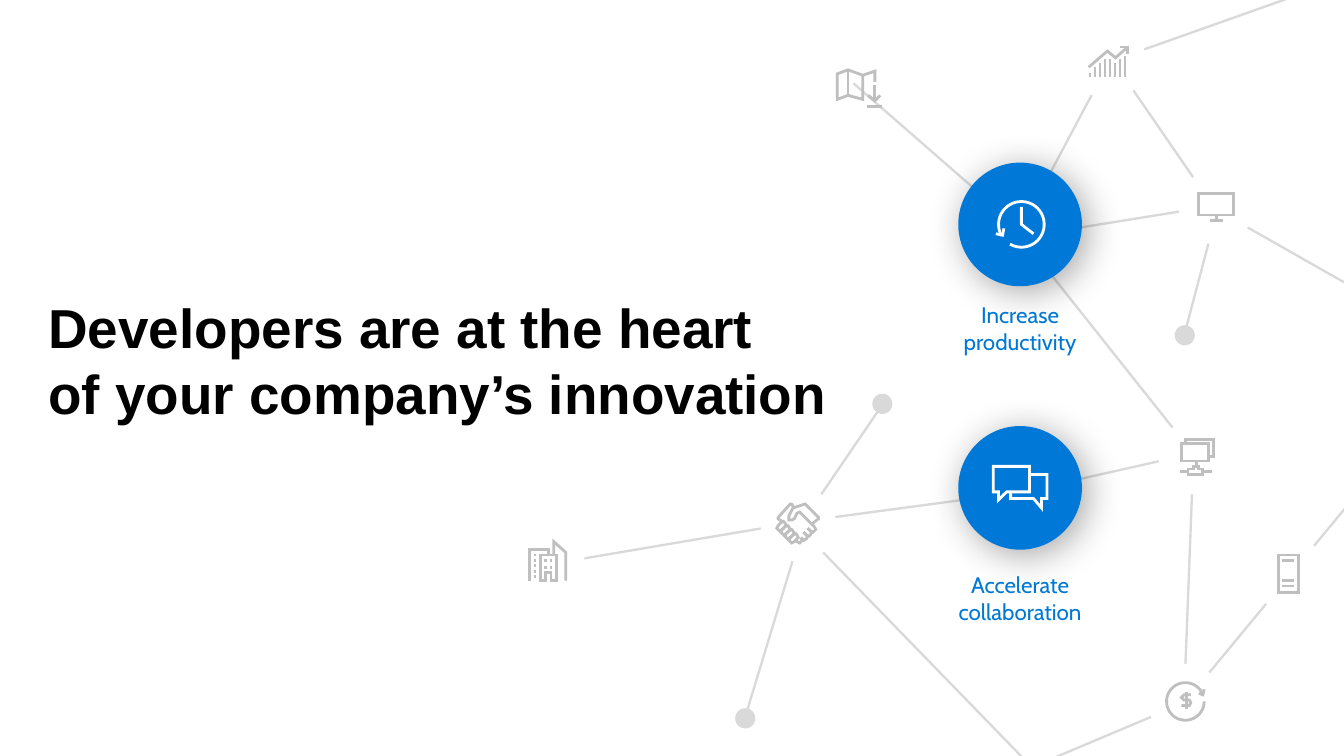
import math
import pptx
import pptx.util
import pptx.dml.color
import pptx.enum.shapes
import pptx.enum.text
import pptx.oxml
import pptx.oxml.ns

Inches = pptx.util.Inches
OVAL = pptx.enum.shapes.MSO_SHAPE.OVAL
STRAIGHT = pptx.enum.shapes.MSO_CONNECTOR.STRAIGHT
ALIGN = pptx.enum.text.PP_ALIGN
ANCHOR = pptx.enum.text.MSO_ANCHOR
NAMESPACE = pptx.oxml.ns.nsdecls("a")

theme = {
    "white": pptx.dml.color.RGBColor.from_string("FFFFFF"),
    "black": pptx.dml.color.RGBColor.from_string("000000"),
    "network": pptx.dml.color.RGBColor.from_string("D9D9D9"),
    "icon": pptx.dml.color.RGBColor.from_string("BFBFBF"),
    "disc": pptx.dml.color.RGBColor.from_string("0078D7"),
    "label": pptx.dml.color.RGBColor.from_string("0078D4"),
    "title_size": pptx.util.Pt(29.4),
    "label_size": pptx.util.Pt(12),
    "network_width": pptx.util.Pt(1.25),
    "icon_width": pptx.util.Pt(1.5),
}

# Widescreen page, 16 to 9
deck = pptx.Presentation()
deck.slide_width, deck.slide_height = Inches(10), Inches(10 * 9 / 16)
page = deck.slides.add_slide(deck.slide_layouts[5])


def arc(x, y, radius, start, end):
    """Points along an arc, in degrees clockwise from the right."""
    angles = [math.radians(start + (end - start) * step / 40) for step in range(41)]
    return [(x + radius * math.cos(a), y + radius * math.sin(a)) for a in angles]


def write(box, text, frame_format, paragraph_format, font_format, color):
    """Fill a box with formatted text."""
    frame = box.text_frame
    frame.text = text
    for name, value in frame_format.items():
        setattr(frame, name, value)
    for para in frame.paragraphs:
        for name, value in paragraph_format.items():
            setattr(para, name, value)
        for span in para.runs:
            for name, value in font_format.items():
                setattr(span.font, name, value)
            span.font.color.rgb = color


# Network lines
links = [
    (6.35, 0.62, 7.6, 1.71), (8.27, 0.43, 7.6, 1.69), (8.28, 0.45, 9.05, 1.57),
    (7.61, 3.66, 8.9, 3.37), (5.97, 3.88, 7.61, 3.66), (5.54, 5.35, 5.99, 3.87),
    (5.97, 3.88, 4.08, 4.2), (5.98, 3.87, 6.56, 3.02), (7.56, 1.77, 9.05, 1.53),
    (8.89, 3.39, 7.58, 1.74), (8.81, 2.5, 9.05, 1.59), (10, 2.1, 9.05, 1.56),
    (8.81, 5.22, 8.88, 3.39), (10.01, 3.78, 8.82, 5.22), (8.28, 0.45, 9.72, -0.06),
    (8.86, 5.21, 7.65, 5.72), (5.93, 3.91, 7.67, 5.7),
]
for ends in links:
    link = page.shapes.add_connector(STRAIGHT, *[Inches(value) for value in ends])
    link.line.color.rgb = theme["network"]
    link.line.width = theme["network_width"]
    link._element.spPr.append(pptx.oxml.parse_xml(f"<a:effectLst {NAMESPACE}/>"))

# Circles: clearings behind the icons, blue discs, end points
circles = [
    (0.56, "white", [(7.97, 0.18), (8.77, 1.26), (8.62, 3.12), (8.54, 4.94),
                     (5.66, 3.62), (3.79, 3.9), (9.31, 3.99)]),
    (0.92, "disc", [(7.13, 1.21), (7.13, 3.17)]),
    (0.15, "network", [(8.74, 2.42), (6.49, 2.93), (5.47, 5.27)]),
]
for size, color, places in circles:
    for left, top in places:
        circle = page.shapes.add_shape(
            OVAL, Inches(left), Inches(top), Inches(size), Inches(size))
        circle.shadow.inherit = False
        circle.fill.solid()
        circle.fill.fore_color.rgb = theme[color]
        circle.line.fill.background()
        if color == "disc":
            effects = circle._element.spPr.find(pptx.oxml.ns.qn("a:effectLst"))
            effects.append(pptx.oxml.parse_xml(
                f'<a:outerShdw {NAMESPACE} blurRad="254000" dist="50800" dir="2700000" '
                'algn="tl" rotWithShape="0"><a:srgbClr val="000000">'
                '<a:alpha val="35000"/></a:srgbClr></a:outerShdw>'))

# Icon strokes
map_icon = [
    [(6.31, 0.52), (6.31, 0.71)], [(6.51, 0.63), (6.51, 0.74)],
    [(6.46, 0.71), (6.51, 0.75), (6.55, 0.71)],
    [(6.51, 0.61), (6.51, 0.53), (6.42, 0.56), (6.31, 0.52), (6.23, 0.55),
     (6.23, 0.74), (6.31, 0.71), (6.42, 0.74), (6.42, 0.56)],
    [(6.45, 0.79), (6.56, 0.79)],
]
money = [
    arc(8.82, 5.22, 0.14, 0, 340),
    [(8.92, 5.16), (8.95, 5.17), (8.96, 5.13)],
    [(8.86, 5.17), (8.81, 5.17), (8.79, 5.19), (8.81, 5.21),
     (8.85, 5.21), (8.86, 5.23), (8.85, 5.25), (8.79, 5.25)],
    [(8.83, 5.15), (8.83, 5.28)],
]
finger = [(5.79, 3.91), (5.78, 3.93), (5.79, 3.94), (5.8, 3.95), (5.82, 3.94),
          (5.84, 3.92), (5.85, 3.91), (5.84, 3.89), (5.83, 3.88), (5.81, 3.89), (5.79, 3.91)]
handshake = [[(x + 0.03 * n, y + 0.03 * n) for x, y in finger] for n in range(4)] + [
    [(5.82, 3.88), (5.79, 3.86), (5.79, 3.85), (5.88, 3.75), (5.89, 3.75), (5.91, 3.78)],
    [(5.98, 3.96), (6, 3.98), (6.02, 3.99), (6.03, 3.98), (6.04, 3.96), (6.01, 3.93)],
    [(5.92, 4.02), (5.93, 4.03), (5.95, 4.04), (5.96, 4.03), (5.97, 4.02), (5.96, 4),
     (5.98, 4.02), (6, 4.01), (6.01, 3.99), (5.98, 3.96)],
    [(6.04, 3.9), (6.09, 3.86), (6.09, 3.85), (5.99, 3.75), (5.9, 3.78), (5.87, 3.84),
     (5.87, 3.87), (5.89, 3.87), (5.91, 3.86), (5.93, 3.82), (5.95, 3.81), (5.96, 3.82),
     (6.06, 3.92), (6.07, 3.94), (6.05, 3.96), (6.03, 3.95), (6.01, 3.93)],
]
screens = [
    [(8.99, 3.43), (8.79, 3.43), (8.79, 3.3), (8.99, 3.3), (8.99, 3.43)],
    [(8.99, 3.4), (9.03, 3.4), (9.03, 3.27), (8.82, 3.27), (8.82, 3.3)],
    [(8.95, 3.53), (8.95, 3.49), (8.92, 3.49), (8.92, 3.47), (8.88, 3.47),
     (8.88, 3.49), (8.84, 3.49), (8.84, 3.53), (8.95, 3.53)],
    [(8.84, 3.51), (8.78, 3.51)], [(8.95, 3.51), (9.02, 3.51)], [(8.9, 3.47), (8.9, 3.43)],
]
windows = [(3.98, 4.13 + 0.04 * row) for row in range(5)]
windows += [(x, y) for x in (4.06, 4.1) for y in (4.17, 4.22)]
buildings = [
    [(4.14, 4.13), (4.14, 4.32), (4.1, 4.32), (4.1, 4.26), (4.06, 4.26),
     (4.06, 4.32), (4.02, 4.32), (4.02, 4.13), (4.14, 4.13)],
    [(4.08, 4.13), (4.08, 4.09), (3.94, 4.09), (3.94, 4.32)],
    [(4.21, 4.32), (4.21, 4.11), (4.12, 4.03), (4.12, 4.13)],
] + [[(x - 0.01, y), (x + 0.01, y)] for x, y in windows]
monitor = [
    [(9.18, 1.52), (9.18, 1.6), (8.92, 1.6), (8.92, 1.44), (9.18, 1.44), (9.18, 1.52)],
    [(9.05, 1.6), (9.05, 1.64)], [(9, 1.64), (9.1, 1.64)],
]
bar_tops = [0.54, 0.5, 0.47, 0.44, 0.44, 0.47, 0.44, 0.42]
growth = [[(8.11 + 0.26 * n / 7, 0.57), (8.11 + 0.26 * n / 7, top)]
          for n, top in enumerate(bar_tops)] + [
    [(8.39, 0.35), (8.3, 0.43), (8.24, 0.38), (8.1, 0.5)],
    [(8.39, 0.4), (8.39, 0.35), (8.33, 0.35)],
]
server = [[(9.66, 4.26), (9.66, 4.41), (9.51, 4.41), (9.51, 4.13), (9.66, 4.13), (9.66, 4.26)]]
server += [[(9.54, y), (9.63, y)] for y in (4.17, 4.32, 4.36)]
clock = [
    arc(7.6, 1.67, 0.17, 150, 480),
    [(7.41, 1.74), (7.46, 1.75), (7.47, 1.7)],
    [(7.6, 1.54), (7.6, 1.67), (7.69, 1.74)],
]
chat = [
    [(7.66, 3.56), (7.66, 3.66), (7.49, 3.66), (7.43, 3.72), (7.43, 3.66),
     (7.39, 3.66), (7.39, 3.47), (7.66, 3.47), (7.66, 3.56)],
    [(7.52, 3.66), (7.52, 3.71), (7.69, 3.71), (7.75, 3.78), (7.75, 3.71),
     (7.79, 3.71), (7.79, 3.53), (7.66, 3.53)],
]

# Draw the icons with sharp corners
gray_icons = [map_icon, money, handshake, screens, buildings, monitor, growth, server]
for color, icons in (("icon", gray_icons), ("white", [clock, chat])):
    for strokes in icons:
        builder = None
        for stroke in strokes:
            points = [(Inches(x), Inches(y)) for x, y in stroke]
            if builder is None:
                builder = page.shapes.build_freeform(*points[0])
            else:
                builder.move_to(*points[0])
            builder.add_line_segments(points[1:], close=False)
        icon = builder.convert_to_shape()
        icon.shadow.inherit = False
        icon.fill.background()
        icon.line.color.rgb = theme[color]
        icon.line.width = theme["icon_width"]
        outline = icon._element.spPr.find(pptx.oxml.ns.qn("a:ln"))
        outline.append(pptx.oxml.parse_xml(f'<a:miter {NAMESPACE} lim="800000"/>'))

# Title
title = page.shapes.title
title.left, title.top, title.width, title.height = map(Inches, (0.36, 2.18, 9.27, 0.99))
write(title, "Developers are at the heart \vof your company’s innovation",
      {"margin_left": 0, "margin_top": 0, "margin_right": 0, "margin_bottom": 0,
       "word_wrap": True, "vertical_anchor": ANCHOR.MIDDLE,
       "auto_size": pptx.enum.text.MSO_AUTO_SIZE.NONE},
      {"alignment": ALIGN.LEFT, "line_spacing": 1.0},
      {"name": "Arial", "size": theme["title_size"], "bold": True}, theme["black"])

# Disc labels
for top, text in ((2.29, "Increase\vproductivity"), (4.3, "Accelerate\vcollaboration")):
    box = page.shapes.add_textbox(Inches(6.52), Inches(top), Inches(2.14), Inches(0.3))
    write(box, text,
          {"margin_left": Inches(0.15), "margin_top": Inches(0.12),
           "margin_right": Inches(0.15), "margin_bottom": Inches(0.12),
           "word_wrap": True, "vertical_anchor": ANCHOR.MIDDLE},
          {"alignment": ALIGN.CENTER},
          {"name": "Cabin", "size": theme["label_size"]}, theme["label"])

deck.save("out.pptx")
